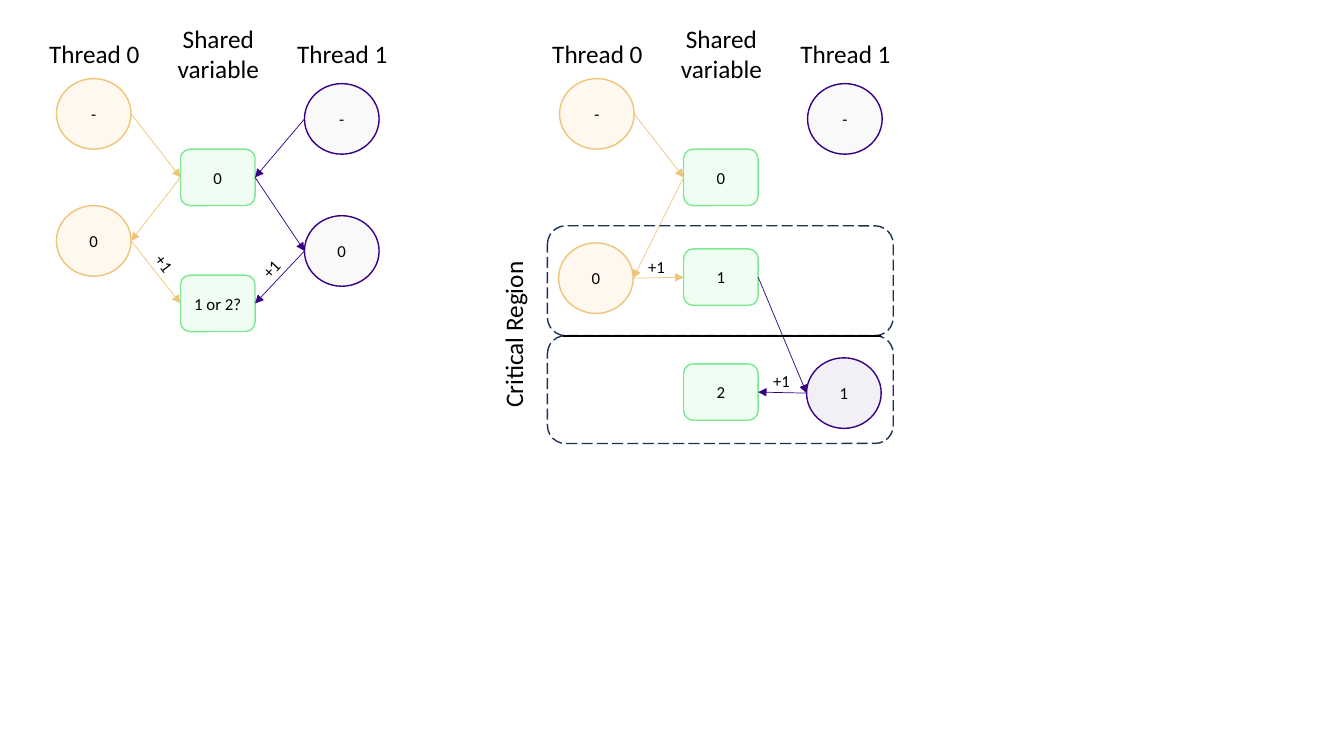
from pptx import Presentation
from pptx.dml.color import RGBColor
from pptx.enum.dml import MSO_LINE
from pptx.enum.shapes import MSO_CONNECTOR, MSO_SHAPE
from pptx.enum.text import MSO_ANCHOR, PP_ALIGN
from pptx.oxml.ns import qn
from pptx.util import Emu, Pt
from lxml.etree import SubElement

PX = 9144
BLACK = RGBColor(0x00, 0x00, 0x00)
GOLD = RGBColor(0xEF, 0xC4, 0x79)
CREAM = RGBColor(0xFE, 0xF8, 0xEF)
PURPLE = RGBColor(0x36, 0x01, 0x84)
LILAC = RGBColor(0xF2, 0xF0, 0xF6)
GREY = RGBColor(0xF9, 0xF9, 0xF9)
GREEN = RGBColor(0x7E, 0xE8, 0x92)
MINT = RGBColor(0xEF, 0xFD, 0xF2)
NAVY = RGBColor(0x1E, 0x32, 0x56)

LEFT, RIGHT = 56, 555
STEP = 123
WIDTH = 74


def emu(*sizes):
    return [Emu(size * PX) for size in sizes]


def write(frame, text, size, align):
    frame.text = text
    para = frame.paragraphs[0]
    para.alignment = align
    font = para.runs[0].font
    font.name = "Calibri"
    font.size = Pt(size)
    font.color.rgb = BLACK


def add_node(slide, kind, text, x, y, high, fill, line):
    node = slide.shapes.add_shape(kind, *emu(x, y, WIDTH, high))
    node.shadow.inherit = False
    node.fill.solid()
    node.fill.fore_color.rgb = fill
    node.line.color.rgb = line
    node.line.width = Pt(1)
    node.text_frame.vertical_anchor = MSO_ANCHOR.MIDDLE
    write(node.text_frame, text, 12, PP_ALIGN.CENTER)
    return node


def add_thread(slide, text, x, y, fill=CREAM, line=GOLD):
    return add_node(slide, MSO_SHAPE.OVAL, text, x, y, 70, fill, line)


def add_value(slide, text, x, y):
    return add_node(slide, MSO_SHAPE.ROUNDED_RECTANGLE, text, x, y, 56, MINT, GREEN)


def add_line(slide, start, end, color, width):
    line = slide.shapes.add_connector(MSO_CONNECTOR.STRAIGHT, *start, *end)
    line.line.color.rgb = color
    line.line.width = Pt(width)
    props = line._element.spPr
    SubElement(props, qn("a:effectLst"))
    return props.find(qn("a:ln"))


def add_arrow(slide, source, target, color):
    ahead = source.left < target.left
    start = source.left + source.width * ahead, source.top + source.height // 2
    end = target.left + target.width * (not ahead), target.top + target.height // 2
    stroke = add_line(slide, start, end, color, 0.5)
    SubElement(stroke, qn("a:tailEnd"), type="triangle")


def add_chain(slide, nodes, color):
    for source, target in zip(nodes, nodes[1:]):
        add_arrow(slide, source, target, color)


def add_label(slide, text, box, size=18, align=PP_ALIGN.CENTER, turn=0, wrap=True):
    label = slide.shapes.add_textbox(*emu(*box))
    label.rotation = turn
    label.text_frame.word_wrap = wrap
    write(label.text_frame, text, size, align)


def add_plus(slide, x, y, turn=0):
    add_label(slide, "+1", (x, y, 46, 30), 12, PP_ALIGN.LEFT, turn)


def add_heads(slide, x):
    add_label(slide, "Thread 0", (x - 18, 33, 111, 40), wrap=False)
    add_label(slide, "Shared variable", (x + 105, 18, 111, 71))
    add_label(slide, "Thread 1", (x + 228, 33, 111, 40), wrap=False)


def add_region(slide, y, high):
    region = slide.shapes.add_shape(
        MSO_SHAPE.ROUNDED_RECTANGLE, *emu(543, y, 343, high))
    region.shadow.inherit = False
    region.fill.background()
    region.line.color.rgb = NAVY
    region.line.width = Pt(1)
    region.line.dash_style = MSO_LINE.LONG_DASH


def draw_race(slide):
    middle, last = LEFT + STEP, LEFT + 2 * STEP
    add_heads(slide, LEFT)
    first = add_value(slide, "0", middle, 148)
    final = add_value(slide, "1 or 2?", middle, 273)
    for x, tops, fill, color in ((LEFT, (78, 204), CREAM, GOLD),
                                 (last, (83, 214), GREY, PURPLE)):
        empty, loaded = [add_thread(slide, text, x, y, fill, color)
                         for text, y in zip("-0", tops)]
        add_chain(slide, [empty, first, loaded, final], color)
    add_plus(slide, 143, 250, 52.6)
    add_plus(slide, 249, 248, 312.6)


def draw_safe(slide):
    middle, last = RIGHT + STEP, RIGHT + 2 * STEP
    add_heads(slide, RIGHT)
    empty = add_thread(slide, "-", RIGHT, 78)
    first = add_value(slide, "0", middle, 148)
    loaded = add_thread(slide, "0", RIGHT - 1, 241)
    second = add_value(slide, "1", middle, 247)
    add_chain(slide, [empty, first, loaded, second], GOLD)
    add_thread(slide, "-", last, 83, GREY, PURPLE)
    add_region(slide, 224, 109)
    add_region(slide, 333, 107)
    other = add_thread(slide, "1", last - 1, 355, LILAC, PURPLE)
    final = add_value(slide, "2", middle, 361)
    add_chain(slide, [second, other, final], PURPLE)
    add_plus(slide, 633, 250)
    add_plus(slide, 757, 363)
    add_label(slide, "Critical Region", (401, 312, 216, 40), turn=270)
    add_line(slide, emu(558, 333), emu(874, 333), BLACK, 1.5)


def main():
    deck = Presentation()
    deck.slide_width, deck.slide_height = emu(1333, 750)
    slide = deck.slides.add_slide(deck.slide_layouts[6])
    draw_race(slide)
    draw_safe(slide)
    deck.save("out.pptx")


if __name__ == "__main__":
    main()
